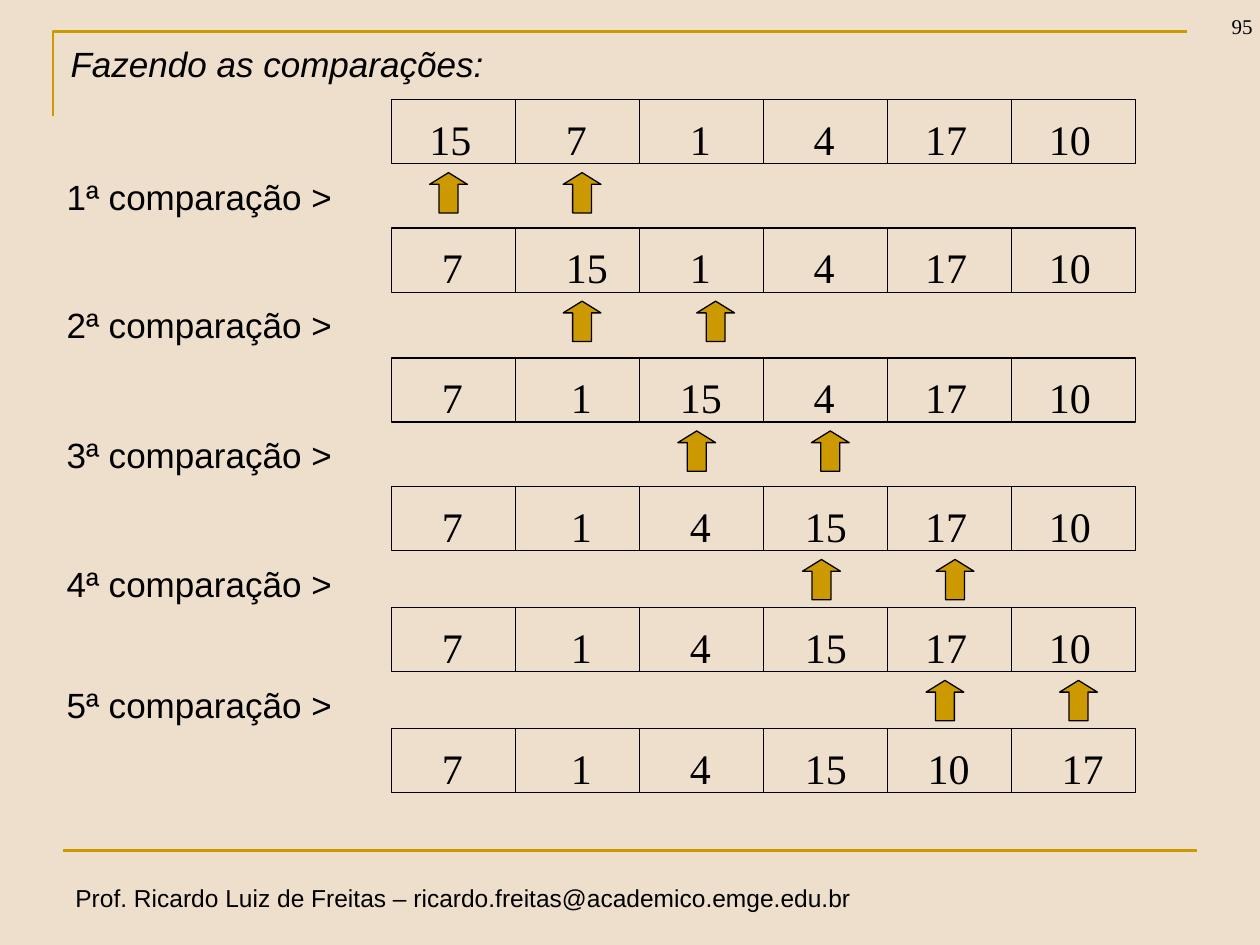
"""Builds a slide showing the comparisons of one bubble sort pass."""
import pptx
import pptx.dml.color
import pptx.enum.shapes
import pptx.enum.text
import pptx.oxml.ns
import pptx.util
from lxml import etree

Inches = pptx.util.Inches
Pt = pptx.util.Pt
SHAPE = pptx.enum.shapes.MSO_SHAPE
ANCHOR = pptx.enum.text.MSO_ANCHOR
ALIGN = pptx.enum.text.PP_ALIGN
AUTO_SIZE = pptx.enum.text.MSO_AUTO_SIZE

COLORS = {"background": "EEDFCC", "gold": "CC9900", "ink": "000000"}
SANS, SERIF = "Arial", "Times New Roman"

ARRAY_LEFT, CELL_WIDTH, CELL_HEIGHT = 3.11, 5.9 / 6, 0.51
ROW_TOPS = [0.79, 1.81, 2.84, 3.86, 4.82, 5.78]
ARROW_LEFTS = [3.41, 4.47, 5.38, 6.37, 7.35]
ARROW_GAP = 1.06
VALUES = [15, 7, 1, 4, 17, 10]
NUDGES = {(15, 1): 0.1, (1, 1): 0.04, (15, 2): 0.02, (15, 3): 0.03,
          (10, 4): 0.02, (17, 5): 0.1}


class SlideBuilder:
    """Holds the style and the current slide."""

    def __init__(self, prs):
        self.s = prs.slides.add_slide(prs.slide_layouts[5])
        fill = self.s.background.fill
        fill.solid()
        fill.fore_color.rgb = self.color("background")

    def color(self, name):
        return pptx.dml.color.RGBColor.from_string(COLORS[name])

    def outline(self, sp, color, width):
        sp.line.color.rgb = self.color(color)
        sp.line.width = Pt(width)

    def set_text(self, sp, text, size, font, italic=False, wrap=True,
                 align=ALIGN.LEFT, anchor=ANCHOR.TOP, spacing=None, grow=True):
        tf = sp.text_frame
        tf.word_wrap = wrap
        tf.auto_size = AUTO_SIZE.SHAPE_TO_FIT_TEXT if grow else AUTO_SIZE.NONE
        tf.vertical_anchor = anchor
        p = tf.paragraphs[0]
        p.alignment = align
        if spacing:
            p.line_spacing = spacing
        r = p.add_run()
        r.text = text
        r.font.size = Pt(size)
        r.font.name = font
        r.font.italic = italic
        r.font.color.rgb = self.color("ink")

    def title(self, text, left, top, width, height, **style):
        sp = self.s.shapes.title
        sp.left, sp.top = Inches(left), Inches(top)
        sp.width, sp.height = Inches(width), Inches(height)
        self.set_text(sp, text, **style)

    def text(self, text, left, top, width, height, **style):
        sp = self.s.shapes.add_textbox(Inches(left), Inches(top), Inches(width), Inches(height))
        self.set_text(sp, text, **style)

    def shape(self, kind, left, top, width, height, fill=None):
        sp = self.s.shapes.add_shape(kind, Inches(left), Inches(top), Inches(width), Inches(height))
        sp.shadow.inherit = False
        if fill:
            sp.fill.solid()
            sp.fill.fore_color.rgb = self.color(fill)
        else:
            sp.fill.background()
        self.outline(sp, "ink", 0.75)
        return sp

    def arrow(self, left, top):
        sp = self.shape(SHAPE.UP_ARROW, left, top, 0.3, 0.32, "gold")
        sp.adjustments[0], sp.adjustments[1] = 0.5, 0.31

    def rule(self, x1, y1, x2, y2):
        sp = self.s.shapes.add_connector(
            pptx.enum.shapes.MSO_CONNECTOR.STRAIGHT,
            Inches(x1), Inches(y1), Inches(x2), Inches(y2))
        self.outline(sp, "gold", 1.5)
        etree.SubElement(sp._element.spPr, pptx.oxml.ns.qn("a:effectLst"))

    def corner(self, left, top, right, bottom):
        builder = self.s.shapes.build_freeform(Inches(left), Inches(bottom))
        builder.add_line_segments(
            [(Inches(left), Inches(top)), (Inches(right), Inches(top))], close=False)
        sp = builder.convert_to_shape()
        sp.shadow.inherit = False
        sp.fill.background()
        self.outline(sp, "gold", 1.5)

    def array(self, values, top):
        lefts = [ARRAY_LEFT + col * CELL_WIDTH for col in range(len(values))]
        for left in lefts:
            self.shape(SHAPE.RECTANGLE, left, top, CELL_WIDTH, CELL_HEIGHT)
        for col, (value, left) in enumerate(zip(values, lefts)):
            offset, width = (0.2, 0.53) if value > 9 else (0.3, 0.37)
            offset += NUDGES.get((value, col), 0)
            self.text(str(value), left + offset, top + 0.06, width, 0.5,
                      size=24, font=SERIF, wrap=False)


def main():
    prs = pptx.Presentation()
    prs.slide_width, prs.slide_height = Inches(10), Inches(7.5)
    slide = SlideBuilder(prs)

    slide.corner(0.42, 0.25, 9.42, 0.92)
    slide.rule(0.5, 6.75, 9.5, 6.75)
    slide.text("Prof. Ricardo Luiz de Freitas – ricardo.freitas@academico.emge.edu.br",
               0.5, 6.96, 6.38, 0.34, size=14, font=SANS, wrap=False)
    slide.text("95", 9.29, -0.14, 0.75, 0.5, size=12, font=SERIF,
               align=ALIGN.RIGHT, anchor=ANCHOR.BOTTOM, grow=False)
    slide.title("Fazendo as comparações:", 0.46, 0.29, 6.59, 0.44,
                size=20, font=SANS, italic=True)

    values = list(VALUES)
    slide.array(values, ROW_TOPS[0])
    for step, arrow_left in enumerate(ARROW_LEFTS):
        top = ROW_TOPS[step]
        slide.text(f"{step + 1}ª comparação >", 0.43, top + 0.59, 2.68, 0.4,
                   size=20, font=SANS, spacing=0.9)
        for left in (arrow_left, arrow_left + ARROW_GAP):
            slide.arrow(left, top + 0.58)
        values[step:step + 2] = sorted(values[step:step + 2])
        slide.array(values, ROW_TOPS[step + 1])

    prs.save("out.pptx")


if __name__ == "__main__":
    main()
